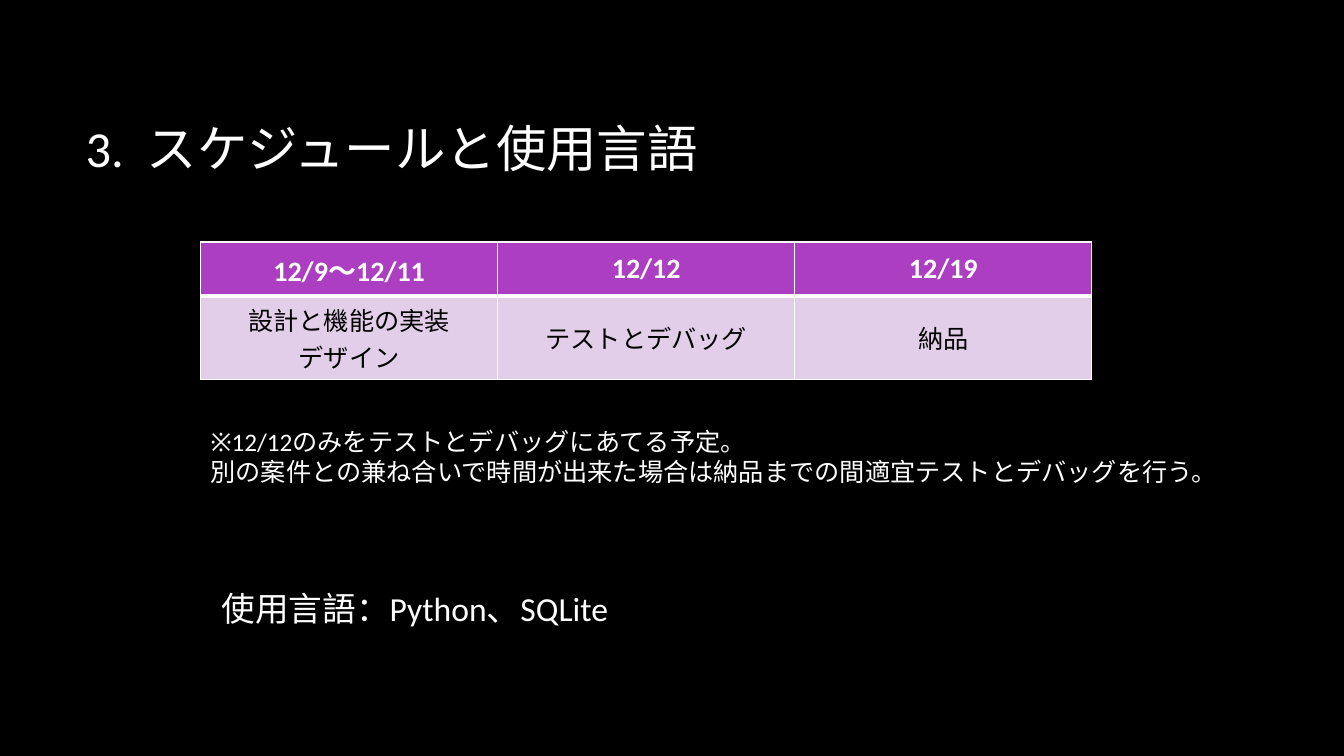
from dataclasses import dataclass

from lxml import etree
from pptx import Presentation
from pptx.dml.color import RGBColor
from pptx.enum.text import MSO_ANCHOR, PP_ALIGN
from pptx.oxml.ns import qn
from pptx.util import Inches, Pt

MIDDLE = MSO_ANCHOR.MIDDLE
TOP = MSO_ANCHOR.TOP
LEFT = PP_ALIGN.LEFT
CENTER = PP_ALIGN.CENTER

HEADING = "3.  スケジュールと使用言語"
SCHEDULE = [
    ("12/9～12/11", ["設計と機能の実装", "デザイン"]),
    ("12/12", ["テストとデバッグ"]),
    ("12/19", ["納品"]),
]
REMARKS = [
    "※12/12のみをテストとデバッグにあてる予定。",
    "別の案件との兼ね合いで時間が出来た場合は納品までの間適宜テストとデバッグを行う。",
]
LANGUAGES = ["使用言語：Python、SQLite"]


@dataclass(frozen=True)
class Theme:
    background: str = "000000"
    light: str = "FFFFFF"
    dark: str = "000000"
    header: str = "AC3EC1"
    body: str = "E3CEE9"
    font: str = "Calibri"
    first_task_font: str = "Arial"
    heading_size: int = 36
    languages_size: int = 24
    header_size: int = 20
    text_size: int = 18
    thin: int = 1
    thick: int = 3


THEME = Theme()
SLIDE_SIZE = (13.33, 7.5)
HEADING_BOX = (0.75, 0.67, 11.08, 1.59)
SCHEDULE_BOX = (1.99, 2.4, 8.84, 1.34)
ROW_HEIGHTS = (0.54, 0.8)
REMARKS_BOX = (1.99, 4.18, 10.14, 0.71)
LANGUAGES_BOX = (2.1, 5.78, 5.96, 0.5)


def inches(box):
    return [Inches(length) for length in box]


def write(frame, lines, size, color, font=THEME.font, align=LEFT, bold=False):
    frame.text = "\n".join(lines)
    for paragraph in frame.paragraphs:
        paragraph.alignment = align
        paragraph.font.name = font
        paragraph.font.size = Pt(size)
        paragraph.font.bold = bold
        paragraph.font.color.rgb = RGBColor.from_string(color)


def add_note(slide, box, lines, size):
    frame = slide.shapes.add_textbox(*inches(box)).text_frame
    frame.word_wrap = True
    frame.vertical_anchor = TOP
    write(frame, lines, size, THEME.light)
    for paragraph in frame.paragraphs:
        for run in paragraph.runs:
            east_asian = etree.SubElement(run._r.get_or_add_rPr(), qn("a:ea"))
            east_asian.set("typeface", THEME.font)


def add_borders(cell, widths):
    properties = cell._tc.get_or_add_tcPr()
    for side, width in zip("LRTB", widths):
        line = etree.SubElement(properties, qn(f"a:ln{side}"), w=str(Pt(width)))
        fill = etree.SubElement(line, qn("a:solidFill"))
        etree.SubElement(fill, qn("a:srgbClr"), val=THEME.light)


def format_cell(cell, fill, borders):
    add_borders(cell, borders)
    cell.fill.solid()
    cell.fill.fore_color.rgb = RGBColor.from_string(fill)
    cell.vertical_anchor = MIDDLE


def add_schedule(slide):
    frame = slide.shapes.add_table(2, len(SCHEDULE), *inches(SCHEDULE_BOX))
    table = frame.table
    for row, height in zip(table.rows, ROW_HEIGHTS):
        row.height = Inches(height)
    thin, thick = THEME.thin, THEME.thick
    for column, (date, tasks) in enumerate(SCHEDULE):
        table.columns[column].width = Inches(SCHEDULE_BOX[2] / len(SCHEDULE))
        header, body = table.cell(0, column), table.cell(1, column)
        format_cell(header, THEME.header, (thin, thin, thin, thick))
        format_cell(body, THEME.body, (thin, thin, thick, thin))
        write(header.text_frame, [date], THEME.header_size, THEME.light,
              align=CENTER, bold=True)
        task_font = THEME.font if column else THEME.first_task_font
        write(body.text_frame, tasks, THEME.text_size, THEME.dark,
              font=task_font, align=CENTER)


def main():
    deck = Presentation()
    deck.slide_width, deck.slide_height = inches(SLIDE_SIZE)
    slide = deck.slides.add_slide(deck.slide_layouts[5])
    slide.background.fill.solid()
    slide.background.fill.fore_color.rgb = RGBColor.from_string(THEME.background)

    heading = slide.shapes.title
    heading.left, heading.top, heading.width, heading.height = inches(HEADING_BOX)
    heading.text_frame.vertical_anchor = MIDDLE
    write(heading.text_frame, [HEADING], THEME.heading_size, THEME.light)

    add_schedule(slide)
    add_note(slide, REMARKS_BOX, REMARKS, THEME.text_size)
    add_note(slide, LANGUAGES_BOX, LANGUAGES, THEME.languages_size)
    deck.save("out.pptx")


if __name__ == "__main__":
    main()
